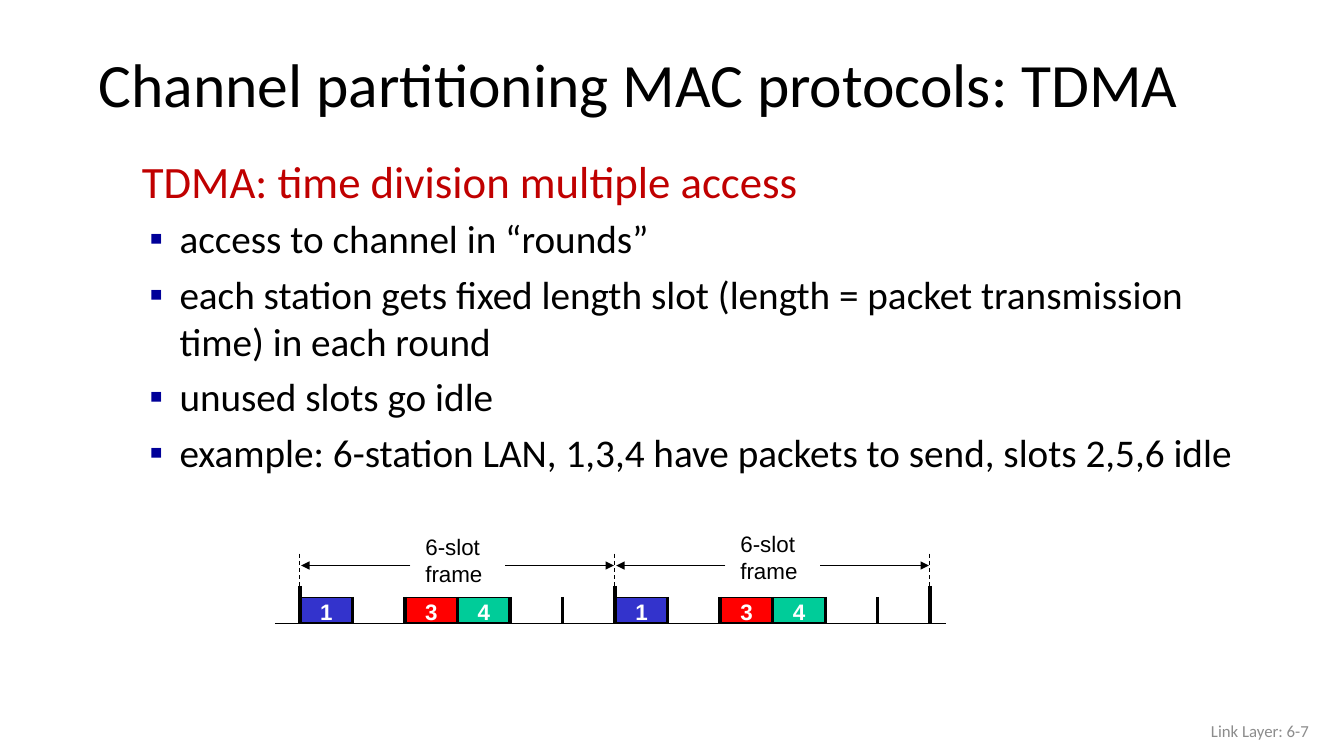
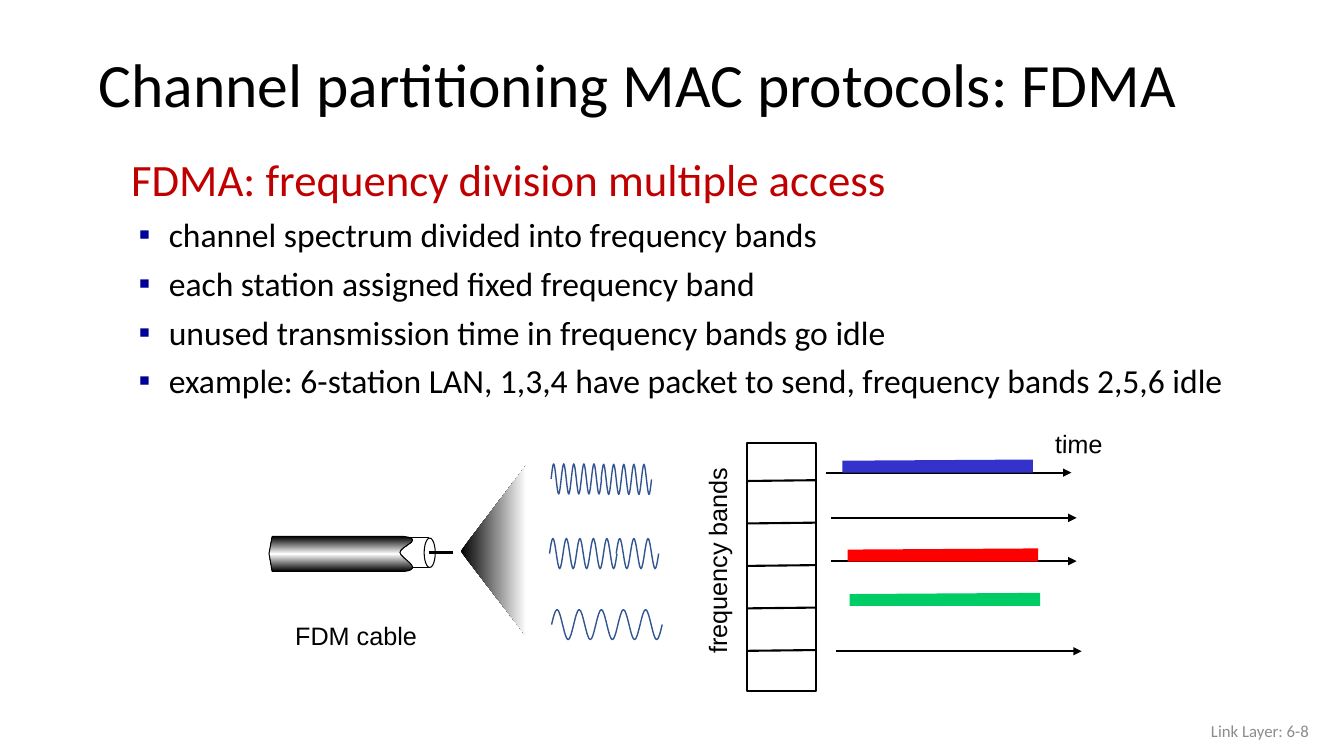
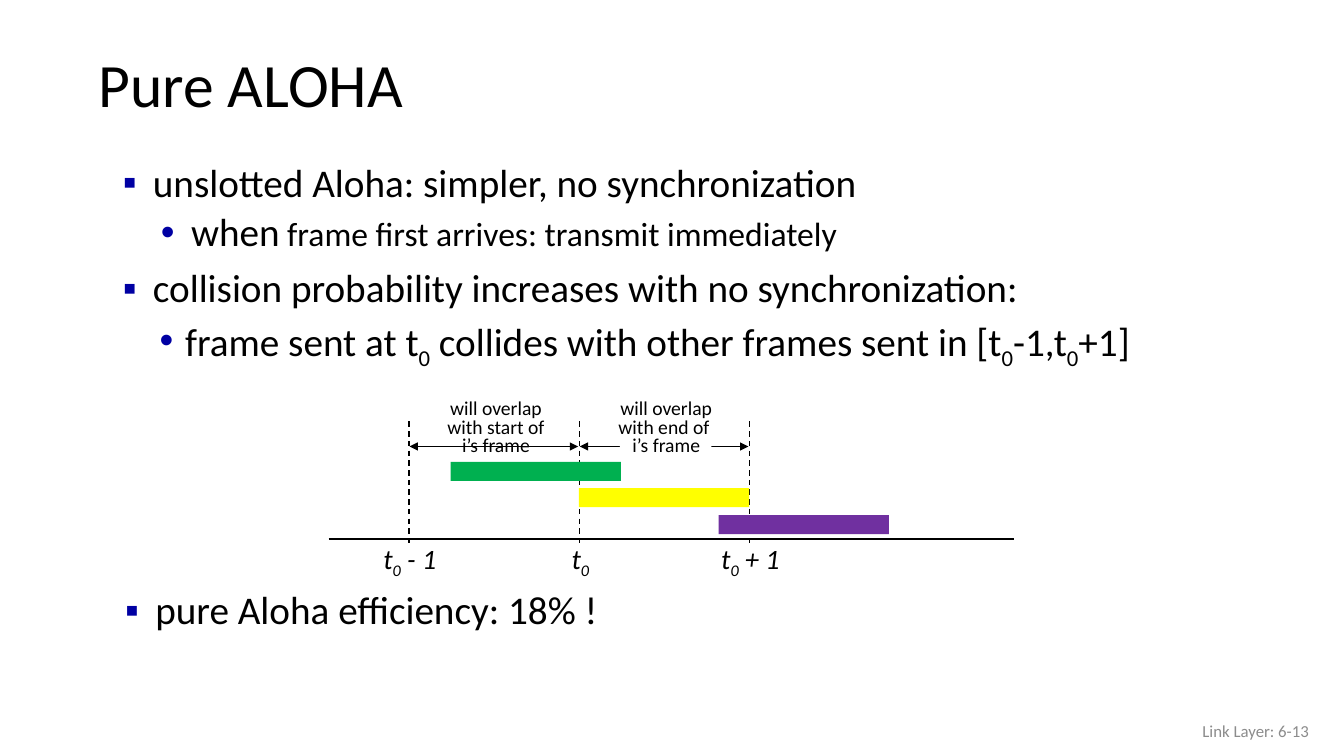
from dataclasses import dataclass
from typing import NamedTuple, Optional, Sequence, Union

from lxml import etree
from pptx import Presentation
from pptx import slide as sl
from pptx import util as u
from pptx.dml import color as dc
from pptx.enum import dml as ed
from pptx.enum import shapes as es
from pptx.enum import text as et
from pptx.oxml import ns
from pptx.shapes import autoshape as sa
from pptx.text import text as tt

Point = tuple[float, float]


@dataclass(frozen=True)
class Theme:
    sans: str = "Calibri"
    plain: str = "Arial"
    ink: str = "000000"
    paper: str = "FFFFFF"
    grey: str = "8C8C8C"
    head: str = "C00000"
    mark: str = "000099"
    deep: str = "0000A3"
    blue: str = "3333CC"
    red: str = "FF0000"
    teal: str = "00CC99"
    lime: str = "00CC66"
    wave: str = "325491"
    green: str = "00B050"
    yellow: str = "FFFF00"
    purple: str = "7030A0"
    title: int = 44
    lead: int = 32
    text: int = 28
    small: int = 24
    tick: int = 20
    label: int = 18
    slot: int = 16
    note: int = 14
    foot: int = 12


T = Theme()


class Box(NamedTuple):
    left: float
    top: float
    width: float
    height: float

    def cm(self) -> list[u.Cm]:
        return [u.Cm(side) for side in self]


class Run(NamedTuple):
    text: str
    size: Optional[int] = None
    sub: bool = False


Words = Union[str, Sequence[Run]]


@dataclass(frozen=True)
class Item:
    words: Words
    size: int = T.text
    color: str = T.ink
    char: str = "▪"
    mark: str = T.mark
    left: float = 0.97
    hang: float = 0.76
    space: float = 6
    line: float = 1
    level: int = 0


@dataclass(frozen=True)
class Label:
    box: Box
    lines: Sequence[Words]
    size: int
    font: str = T.plain
    color: str = T.ink
    bold: bool = False
    slant: bool = False
    align: et.PP_ALIGN = et.PP_ALIGN.LEFT
    line: float = 1
    turn: float = 0


TITLE = Box(2.23, 0.97, 29.21, 2.48)
FOOT = Box(25.62, 17.9, 7.62, 1.02)
T0 = (Run("t"), Run("0", sub=True))


def rgb(code: str) -> dc.RGBColor:
    return dc.RGBColor.from_string(code)


def style(par: tt._Paragraph, size: int, color: str = T.ink, font: str = T.sans) -> None:
    par.font.name = font
    par.font.size = u.Pt(size)
    par.font.color.rgb = rgb(color)


def write(par: tt._Paragraph, words: Words) -> None:
    for part in [Run(words)] if isinstance(words, str) else words:
        run = par.add_run()
        run.text = part.text
        if part.size:
            run.font.size = u.Pt(part.size)
        if part.sub:
            run._r.get_or_add_rPr().set("baseline", "-25000")


def place(shape: sa.Shape, box: Box) -> None:
    shape.left, shape.top, shape.width, shape.height = box.cm()


def bullet(par: tt._Paragraph, item: Item) -> None:
    props = par._p.get_or_add_pPr()
    props.set("marL", str(u.Cm(item.left)))
    props.set("indent", str(-u.Cm(item.hang)))
    if not item.char:
        etree.SubElement(props, ns.qn("a:buNone"))
        return
    tint = etree.SubElement(props, ns.qn("a:buClr"))
    etree.SubElement(tint, ns.qn("a:srgbClr"), val=item.mark)
    etree.SubElement(props, ns.qn("a:buFont"), typeface=T.plain)
    etree.SubElement(props, ns.qn("a:buChar"), char=item.char)


def fill_list(shape: sa.Shape, box: Box, items: Sequence[Item]) -> None:
    place(shape, box)
    frame = shape.text_frame
    frame.auto_size = et.MSO_AUTO_SIZE.NONE
    for i, item in enumerate(items):
        par = frame.add_paragraph() if i else frame.paragraphs[0]
        par.level = item.level
        bullet(par, item)
        par.line_spacing = item.line
        par.space_before = u.Pt(item.space if i else 0)
        style(par, item.size, item.color)
        write(par, item.words)


def start(deck: Presentation, layout: int, title: str, number: int) -> sl.Slide:
    page = deck.slides.add_slide(deck.slide_layouts[layout])
    head = page.shapes.title
    place(head, TITLE)
    foot = page.shapes.add_textbox(*FOOT.cm())
    rows = (
        (head, title, T.title, T.ink, et.PP_ALIGN.LEFT, 0.9),
        (foot, f"Link Layer: 6-{number}", T.foot, T.grey, et.PP_ALIGN.RIGHT, 1),
    )
    for shape, words, size, color, align, line in rows:
        frame = shape.text_frame
        frame.word_wrap = True
        frame.auto_size = et.MSO_AUTO_SIZE.NONE
        frame.vertical_anchor = et.MSO_ANCHOR.MIDDLE
        par = frame.paragraphs[0]
        par.alignment = align
        par.line_spacing = line
        style(par, size, color)
        write(par, words)
    return page


def add_label(page: sl.Slide, label: Label) -> None:
    shape = page.shapes.add_textbox(*label.box.cm())
    shape.rotation = label.turn
    frame = shape.text_frame
    frame.word_wrap = False
    frame.auto_size = et.MSO_AUTO_SIZE.SHAPE_TO_FIT_TEXT
    for i, words in enumerate(label.lines):
        par = frame.add_paragraph() if i else frame.paragraphs[0]
        par.alignment = label.align
        par.line_spacing = label.line
        style(par, label.size, label.color, label.font)
        par.font.bold = label.bold
        par.font.italic = label.slant
        write(par, words)


def paint(shape: sa.Shape, fill: Optional[str], edge: Optional[str], width: float) -> None:
    shape.shadow.inherit = False
    if fill:
        shape.fill.solid()
        shape.fill.fore_color.rgb = rgb(fill)
    else:
        shape.fill.background()
    if edge:
        shape.line.color.rgb = rgb(edge)
        shape.line.width = u.Pt(width)
    else:
        shape.line.fill.background()


def add_block(page: sl.Slide, box: Box, fill: str, edge: Optional[str] = None,
              width: float = 0.75, kind: es.MSO_SHAPE = es.MSO_SHAPE.RECTANGLE) -> None:
    paint(page.shapes.add_shape(kind, *box.cm()), fill, edge, width)


def add_line(page: sl.Slide, here: Point, there: Point, width: float = 0.75,
             dash: bool = False, ends: Sequence[str] = ()) -> None:
    line = page.shapes.add_connector(
        es.MSO_CONNECTOR.STRAIGHT, *[u.Cm(side) for side in (*here, *there)])
    line.line.color.rgb = rgb(T.ink)
    line.line.width = u.Pt(width)
    if dash:
        line.line.dash_style = ed.MSO_LINE.DASH
    props = line._element.spPr
    for end in ends:
        etree.SubElement(props.find(ns.qn("a:ln")), ns.qn(f"a:{end}"), type="triangle")
    etree.SubElement(props, ns.qn("a:effectLst"))


def add_path(page: sl.Slide, points: Sequence[Point], close: bool, fill: Optional[str] = None,
             edge: Optional[str] = None, width: float = 0.75) -> sa.Shape:
    first, *rest = [(u.Cm(x), u.Cm(y)) for x, y in points]
    pen = page.shapes.build_freeform(*first)
    pen.add_line_segments(rest, close=close)
    shape = pen.convert_to_shape()
    paint(shape, fill, edge, width)
    return shape


def bend(shape: sa.Shape, straight: int = 0) -> None:
    legs = list(shape._element.iter(ns.qn("a:lnTo")))[straight:]
    for first, *others in zip(legs[::3], legs[1::3], legs[2::3]):
        first.tag = ns.qn("a:cubicBezTo")
        for leg in others:
            first.append(leg[0])
            leg.getparent().remove(leg)


def shade(shape: sa.Shape, colors: Sequence[str], angle: float) -> None:
    shape.fill.gradient()
    shape.fill.gradient_angle = angle
    stops = shape._element.spPr.find(ns.qn("a:gradFill")).find(ns.qn("a:gsLst"))
    for stop in list(stops):
        stops.remove(stop)
    for i, color in enumerate(colors):
        spot = round(100000 * i / (len(colors) - 1))
        stop = etree.SubElement(stops, ns.qn("a:gs"), pos=str(spot))
        etree.SubElement(stop, ns.qn("a:srgbClr"), val=color)


def add_wave(page: sl.Slide, left: float, mid: float, width: float, cycles: int) -> None:
    half, rise = width / cycles / 2, 0.38
    turns = [(left + half * (i + 0.5), mid + (rise if i % 2 else -rise))
             for i in range(2 * cycles)]
    knots = [(left, mid), *turns, (left + width, mid)]
    dots = knots[:1]
    for i, ((x, y), (next_x, next_y)) in enumerate(zip(knots, knots[1:])):
        third = (next_x - x) / 3
        out_y = (y + next_y) / 2 if i == 0 else y
        in_y = (y + next_y) / 2 if i == 2 * cycles else next_y
        dots += [(x + third, out_y), (next_x - third, in_y), (next_x, next_y)]
    bend(add_path(page, dots, False, edge=T.wave, width=1))


def draw_tdma(deck: Presentation) -> None:
    page = start(deck, 1, "Channel partitioning MAC protocols: TDMA", 7)
    points = (
        "access to channel in “rounds”",
        "each station gets fixed length slot (length = packet transmission time) in each round",
        "unused slots go idle",
        "example: 6-station LAN, 1,3,4 have packets to send, slots 2,5,6 idle",
    )
    head = Item("TDMA: time division multiple access", T.lead, T.head, "", hang=0.95, line=0.75)
    fill_list(page.placeholders[1], Box(3.3, 4.05, 28.42, 8.13),
              [head, *(Item(words) for words in points)])

    left, round_width, count, base = 7.56, 7.94, 6, 15.7
    slot = round_width / count
    add_line(page, (6.93, base), (23.85, base))
    for x, top in ((left, 13.31), (left + round_width, 13.23)):
        for number, color in ((1, T.blue), (3, T.red), (4, T.teal)):
            near = x + (number - 1) * slot
            add_block(page, Box(near, 15.06, slot, 0.64), color, T.ink)
            add_label(page, Label(Box(near + 0.26, 14.96, 0.81, 0.94), [str(number)], T.slot,
                                  color=T.paper, bold=True))
        add_label(page, Label(Box(x + 2.91, top, 1.96, 1.63), ("6-slot", "frame"), T.slot))
        for here, there in ((5.17, 7.91), (2.78, 0.03)):
            add_line(page, (x + here, 14.25), (x + there, 14.25), ends=["tailEnd"])
    for i in range(2 * count + 1):
        x = left + i * slot
        edge = i % count == 0
        add_line(page, (x, 14.76 if edge else 15.04), (x, 15.72), 3 if edge and i else 2.25)
        if edge:
            add_line(page, (x - 0.02, 13.95), (x - 0.02, 14.8), dash=True)


def draw_fdma(deck: Presentation) -> None:
    page = start(deck, 1, "Channel partitioning MAC protocols: FDMA", 8)
    points = (
        "channel spectrum divided into frequency bands",
        "each station assigned fixed frequency band",
        "unused transmission time in frequency bands go idle",
        "example: 6-station LAN, 1,3,4 have packet to send, frequency bands 2,5,6 idle",
    )
    head = Item("FDMA: frequency division multiple access", T.lead, T.head, "",
                hang=0.95, line=0.85)
    fill_list(page.placeholders[1], Box(3.03, 3.9, 29.06, 6.65),
              [head, *(Item(words, T.small) for words in points)])

    bands = Box(18.82, 11.17, 1.75, 6.25)
    add_block(page, bands, T.paper, T.ink, 1.5)
    for i in range(5):
        y = 12.11 + i * 1.07
        add_line(page, (bands.left, y + 0.01), (bands.left + bands.width, y - 0.01), 1.5)
    for x, y in ((20.82, 11.91), (20.95, 13.05), (20.95, 14.14), (21.08, 16.41)):
        add_line(page, (x, y), (x + 6.18, y), 1.5, ends=["tailEnd"])
    for x, y, color in ((21.23, 11.58, T.blue), (21.36, 13.82, T.red), (21.41, 14.94, T.lime)):
        right, low = x + 4.8, y + 0.33
        add_path(page, [(x, low), (x, y + 0.03), (right, y), (right, low)], False, color)

    cone = add_path(page, [(13.26, 11.73), (11.61, 13.89), (13.26, 16.03)], True)
    shade(cone, (T.ink, T.paper), 0)
    add_block(page, Box(10.06, 13.54, 0.74, 0.76), T.paper, T.ink)
    cable = add_path(page, [
        (6.86, 13.52), (6.78, 13.95), (6.86, 14.4), (10.19, 14.4),
        (10.72, 14.33), (10.08, 14.07), (10.08, 13.92),
        (10.08, 13.77), (10.72, 13.59), (10.19, 13.52),
    ], True, edge=T.ink)
    bend(cable, 3)
    shade(cable, (T.ink, T.paper, T.ink), 90)
    add_block(page, Box(10.69, 13.56, 0.28, 0.74), T.paper, T.ink, kind=es.MSO_SHAPE.OVAL)
    add_line(page, (10.8, 13.92), (11.41, 13.92), 2.25)
    for wave in ((13.89, 12.07, 1.27, 5), (15.15, 12.08, 1.27, 5), (13.85, 13.95, 1.7, 5),
                 (15.53, 13.95, 1.07, 3), (13.9, 15.74, 2.79, 5)):
        add_wave(page, *wave)

    for label in (
        Label(Box(15.47, 13.61, 5.21, 1.02), ["frequency bands"], T.label, turn=270),
        Label(Box(26.34, 10.67, 1.7, 1.02), ["time"], T.label, turn=1.1),
        Label(Box(7.19, 15.51, 3.58, 1.02), ["FDM cable"], T.label),
    ):
        add_label(page, label)


def main_point(words: Words) -> Item:
    return Item(words, mark=T.deep, left=1.12, space=10, line=0.9)


def sub_point(words: Words, left: float, hang: float) -> Item:
    return Item(words, char="•", mark=T.deep, left=left, hang=hang, space=5, line=0.9, level=1)


def draw_aloha(deck: Presentation) -> None:
    page = start(deck, 3, "Pure ALOHA", 13)
    sent = (Run("frame sent at "), *T0, Run(" collides with other frames sent in ["),
            *T0, Run("-1,"), *T0, Run("+1]"))
    fill_list(page.placeholders[1], Box(2.48, 3.99, 29.21, 6.43), [
        main_point("unslotted Aloha: simpler, no synchronization"),
        sub_point((Run("when"), Run(" frame first arrives: transmit immediately", T.small)),
                  2.08, 0.76),
        main_point("collision probability increases with no synchronization:"),
        sub_point(sent, 1.93, 0.64),
    ])
    fill_list(page.placeholders[2], Box(2.54, 14.76, 29.21, 1.73),
              [main_point("pure Aloha efficiency: 18% !")])

    left, unit, base = 10.31, 4.29, 13.58
    for i in range(2):
        x = left + i * unit
        add_line(page, (x + 0.01, 11.25), (x + unit - 0.03, 11.25), 1,
                 ends=["headEnd", "tailEnd"])
    add_block(page, Box(15.62, 11.15, 2.31, 0.15), T.paper)
    add_line(page, (8.28, base), (25.55, base), 1)
    ticks = (((*T0, Run(" - 1")), 1.9), (T0, 0.99), ((*T0, Run(" + 1")), 2.03))
    for i, (words, width) in enumerate(ticks):
        x = left + i * unit
        add_line(page, (x, 10.62), (x, 13.68), 1, dash=True)
        add_label(page, Label(Box(x + 0.05 - width / 2, 13.52, width, 1.12), [words],
                              T.tick, T.sans, slant=True))
    for x, y, color in ((11.36, 11.64, T.green), (14.59, 12.3, T.yellow),
                        (18.11, 12.98, T.purple)):
        add_block(page, Box(x, y, 4.29, 0.48), color)
    for i, part in enumerate(("start", "end")):
        box = Box(left + i * unit + 0.69, 9.96, 3, 1.7)
        add_label(page, Label(box, ("will overlap", f"with {part} of ", "i’s frame"), T.note,
                              T.sans, align=et.PP_ALIGN.CENTER, line=0.8))


def main() -> None:
    deck = Presentation()
    deck.slide_width, deck.slide_height = u.Cm(33.87), u.Cm(19.05)
    for draw in (draw_tdma, draw_fdma, draw_aloha):
        draw(deck)
    deck.save("out.pptx")


if __name__ == "__main__":
    main()
